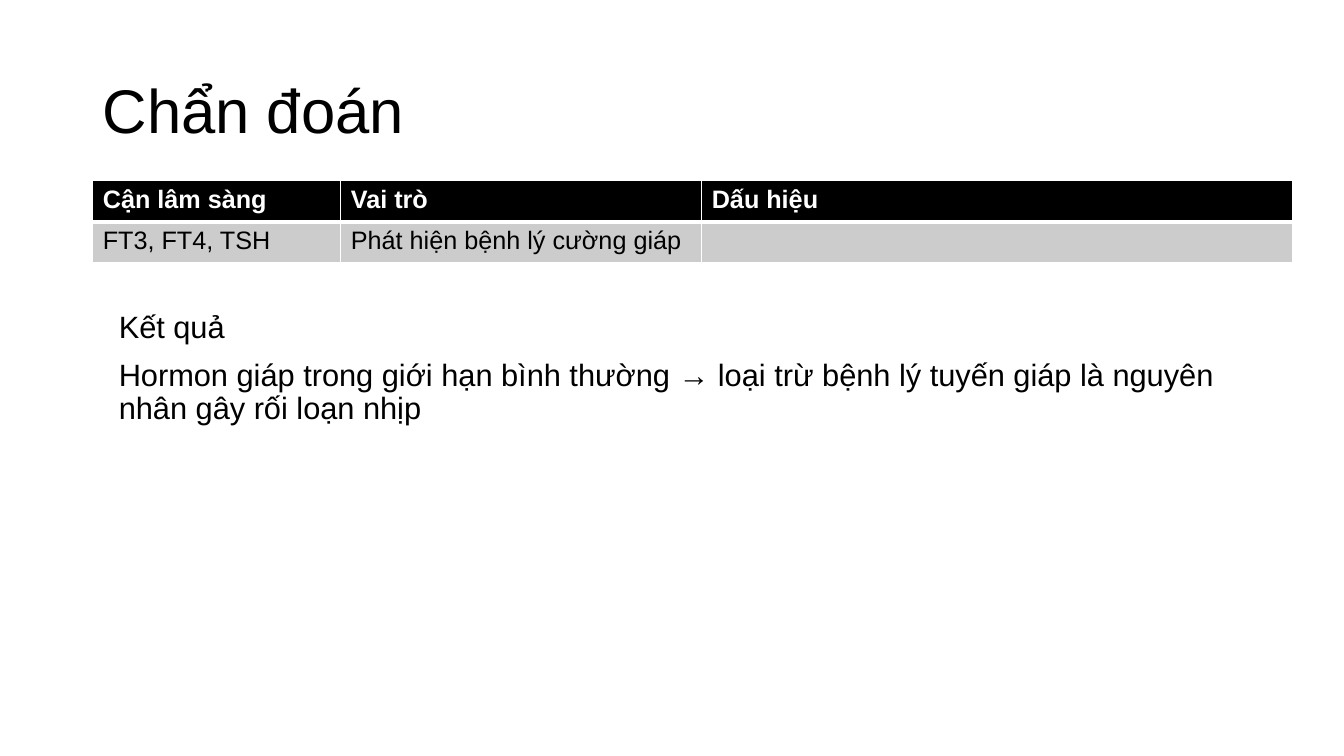
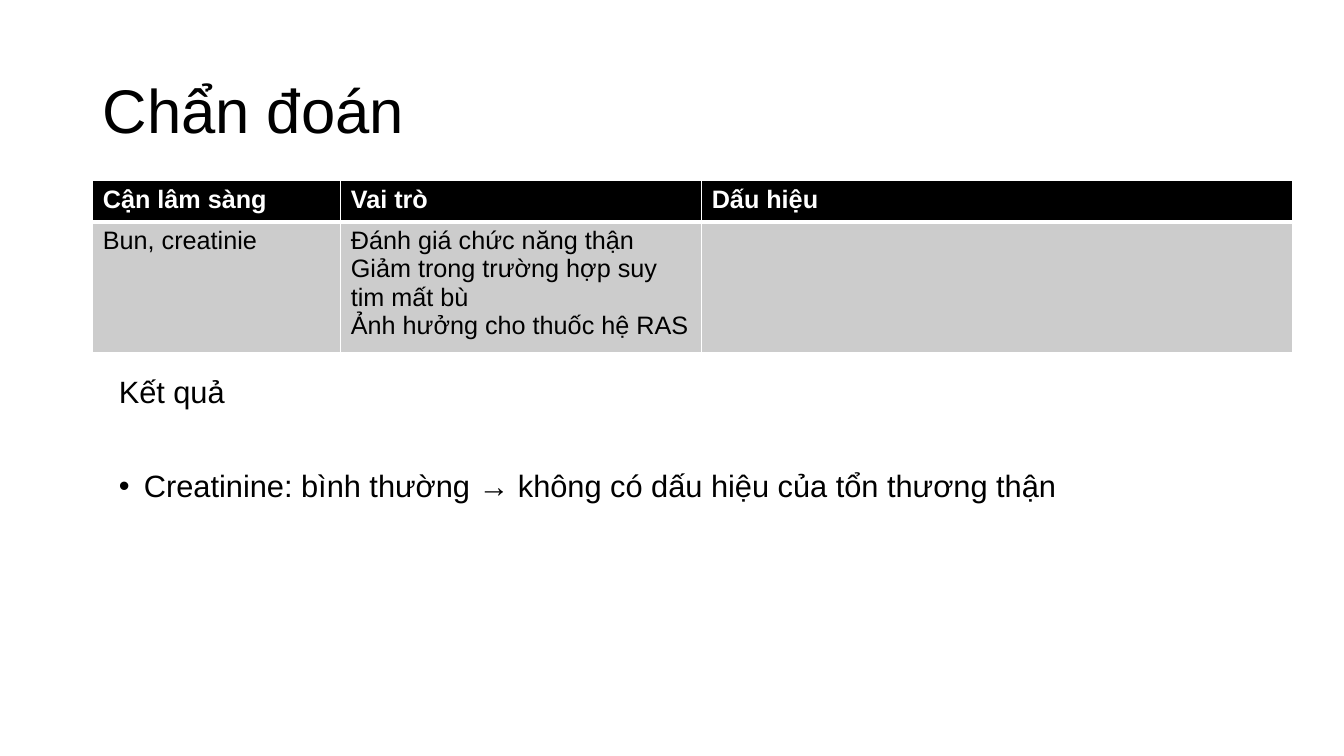
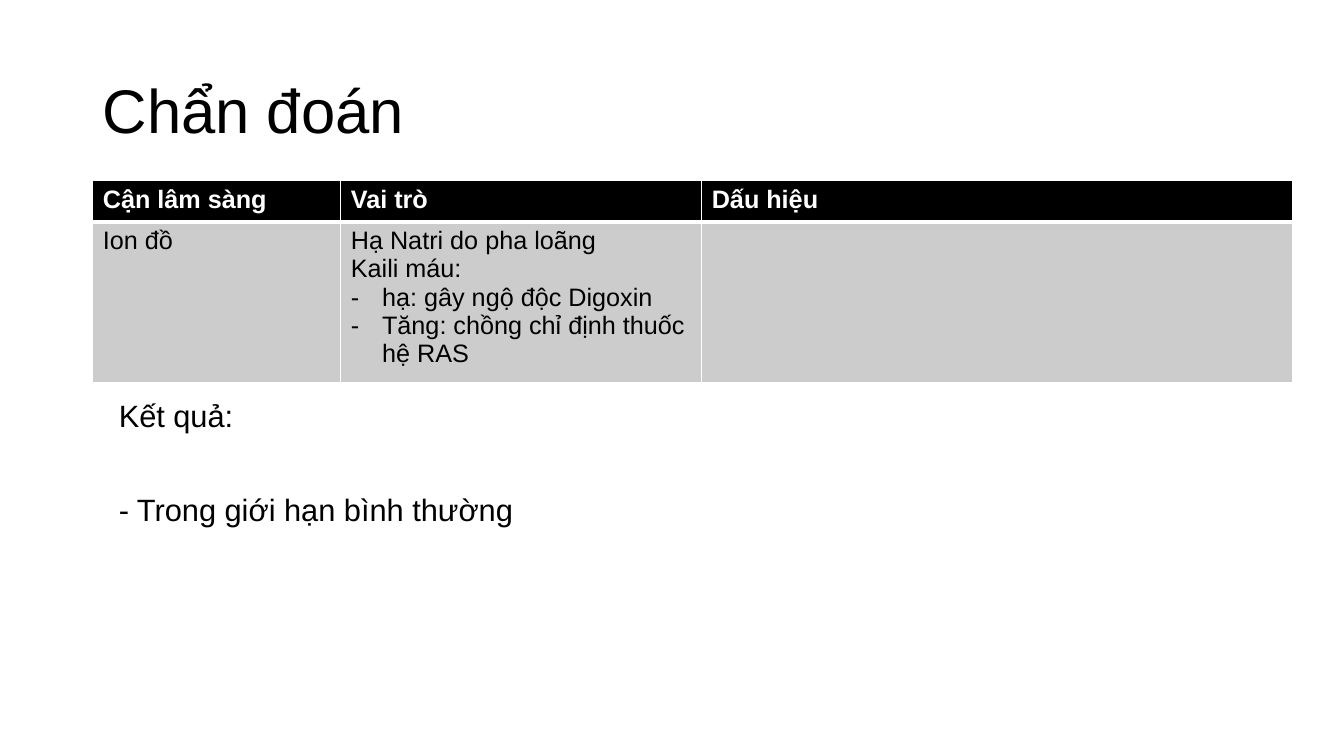
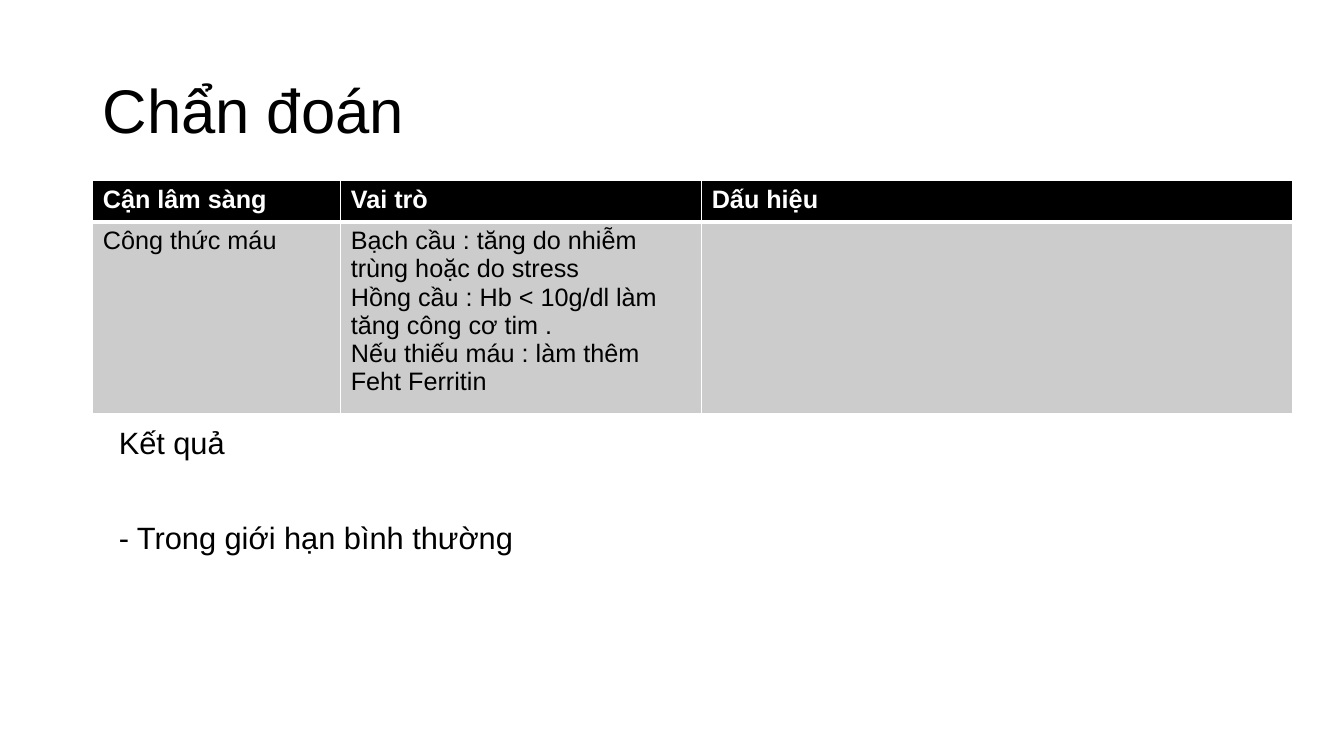
from dataclasses import dataclass

from lxml import etree
from pptx import Presentation
from pptx.dml.color import RGBColor
from pptx.enum.text import MSO_ANCHOR
from pptx.oxml.ns import qn
from pptx.util import Inches, Pt

ANCHOR_TOP = MSO_ANCHOR.TOP
ANCHOR_MIDDLE = MSO_ANCHOR.MIDDLE

# Shared style
FONT = "Arial"
BLACK = RGBColor(0x00, 0x00, 0x00)
WHITE = RGBColor(0xFF, 0xFF, 0xFF)
GREY = RGBColor(0xCC, 0xCC, 0xCC)
TITLE_SIZE, BODY_SIZE, TABLE_SIZE = 44, 22, 18
LINE_SPACING = 0.9
PARAGRAPH_GAP = 10
WIDE_GAP = 43.6

# Shared layout, in inches
TITLE = "Chẩn đoán"
TITLE_BOX = (0.92, 0.4, 11.5, 1.45)
TABLE_LEFT, TABLE_TOP = 0.92, 1.79
COLUMN_WIDTHS = (2.46, 3.58, 5.86)
HEADERS = ("Cận lâm sàng", "Vai trò", "Dấu hiệu")
HEADER_HEIGHT = 0.41
CELL_LINE_HEIGHT, CELL_PADDING = 0.3, 0.1
RESULT_LEFT, RESULT_WIDTH, RESULT_BOTTOM = 1.08, 11.5, 6.92


@dataclass
class Line:
    text: str
    gap: float = 0
    bullet: str = ""
    indent: float = 0


def add_bullet(paragraph, character, indent):
    properties = paragraph._p.get_or_add_pPr()
    properties.set("marL", str(Inches(indent)))
    properties.set("indent", str(-Inches(indent)))
    etree.SubElement(properties, qn("a:buFont"), typeface=FONT)
    etree.SubElement(properties, qn("a:buChar"), char=character)


def write_lines(text_frame, lines, size, color=BLACK, bold=False, spacing=None):
    for index, line in enumerate(lines):
        paragraph = text_frame.add_paragraph() if index else text_frame.paragraphs[0]
        if line.bullet:
            add_bullet(paragraph, line.bullet, line.indent)
        if spacing:
            paragraph.line_spacing = spacing
        if index and line.gap:
            paragraph.space_before = Pt(line.gap)
        run = paragraph.add_run()
        run.text = line.text
        run.font.name = FONT
        run.font.size = Pt(size)
        run.font.bold = bold
        run.font.color.rgb = color


def add_text(slide, box, lines, size, anchor=ANCHOR_TOP):
    shape = slide.shapes.add_textbox(*map(Inches, box))
    text_frame = shape.text_frame
    text_frame.word_wrap = True
    text_frame.vertical_anchor = anchor
    write_lines(text_frame, lines, size, spacing=LINE_SPACING)


def set_borders(cell, top, bottom):
    properties = cell._tc.get_or_add_tcPr()
    for side, width in (("L", 1), ("R", 1), ("T", top), ("B", bottom)):
        border = etree.SubElement(properties, qn(f"a:ln{side}"), w=str(Pt(width)))
        fill = etree.SubElement(border, qn("a:solidFill"))
        etree.SubElement(fill, qn("a:srgbClr"), val=str(WHITE))


def fill_cell(cell, lines, is_header):
    set_borders(cell, top=1 if is_header else 3, bottom=3 if is_header else 1)
    cell.fill.solid()
    cell.fill.fore_color.rgb = BLACK if is_header else GREY
    if lines:
        write_lines(cell.text_frame, lines, TABLE_SIZE,
                    WHITE if is_header else BLACK, is_header)
    else:
        cell.text_frame.paragraphs[0].font.size = Pt(TABLE_SIZE)


def add_test_table(slide, test, roles, line_count):
    heights = (HEADER_HEIGHT, line_count * CELL_LINE_HEIGHT + CELL_PADDING)
    frame = slide.shapes.add_table(
        len(heights), len(COLUMN_WIDTHS), Inches(TABLE_LEFT), Inches(TABLE_TOP),
        Inches(sum(COLUMN_WIDTHS)), Inches(sum(heights)))
    table = frame.table
    for column, width in zip(table.columns, COLUMN_WIDTHS):
        column.width = Inches(width)
    for row, height in zip(table.rows, heights):
        row.height = Inches(height)
    rows = ([[Line(header)] for header in HEADERS], [[Line(test)], roles, []])
    for row_index, row in enumerate(rows):
        for column_index, lines in enumerate(row):
            fill_cell(table.cell(row_index, column_index), lines, row_index == 0)


def add_diagnosis_slide(presentation, test, roles, line_count, result_top, results):
    slide = presentation.slides.add_slide(presentation.slide_layouts[6])
    add_text(slide, TITLE_BOX, [Line(TITLE)], TITLE_SIZE, ANCHOR_MIDDLE)
    add_test_table(slide, test, roles, line_count)
    result_box = (RESULT_LEFT, result_top, RESULT_WIDTH, RESULT_BOTTOM - result_top)
    add_text(slide, result_box, results, BODY_SIZE)


def main():
    presentation = Presentation()
    presentation.slide_width = Inches(13.33)
    presentation.slide_height = Inches(7.5)
    normal = Line("- Trong giới hạn bình thường", WIDE_GAP)

    # Thyroid hormones
    add_diagnosis_slide(
        presentation, "FT3, FT4, TSH", [Line("Phát hiện bệnh lý cường giáp")], 1, 3.05,
        [Line("Kết quả"),
         Line("Hormon giáp trong giới hạn bình thường → loại trừ bệnh lý tuyến giáp "
              "là nguyên nhân gây rối loạn nhịp", PARAGRAPH_GAP)])

    # Kidney function
    add_diagnosis_slide(
        presentation, "Bun, creatinie",
        [Line("Đánh giá chức năng thận"),
         Line("Giảm trong trường hợp suy tim mất bù"),
         Line("Ảnh hưởng cho thuốc hệ RAS")], 4, 3.69,
        [Line("Kết quả"),
         Line("Creatinine: bình thường → không có dấu hiệu của tổn thương thận",
              WIDE_GAP, "•", 0.25)])

    # Electrolytes
    add_diagnosis_slide(
        presentation, "Ion đồ",
        [Line("Hạ Natri do pha loãng"),
         Line("Kaili máu:"),
         Line("hạ: gây ngộ độc Digoxin", bullet="-", indent=0.31),
         Line("Tăng: chồng chỉ định thuốc hệ RAS", bullet="-", indent=0.31)], 5, 3.93,
        [Line("Kết quả:"), normal])

    # Blood count
    add_diagnosis_slide(
        presentation, "Công thức máu",
        [Line("Bạch cầu : tăng do nhiễm trùng hoặc do stress"),
         Line("Hồng cầu : Hb < 10g/dl làm tăng công cơ tim ."),
         Line("Nếu thiếu máu : làm thêm Feht Ferritin")], 6, 4.2,
        [Line("Kết quả"), normal])

    presentation.save("out.pptx")


if __name__ == "__main__":
    main()
